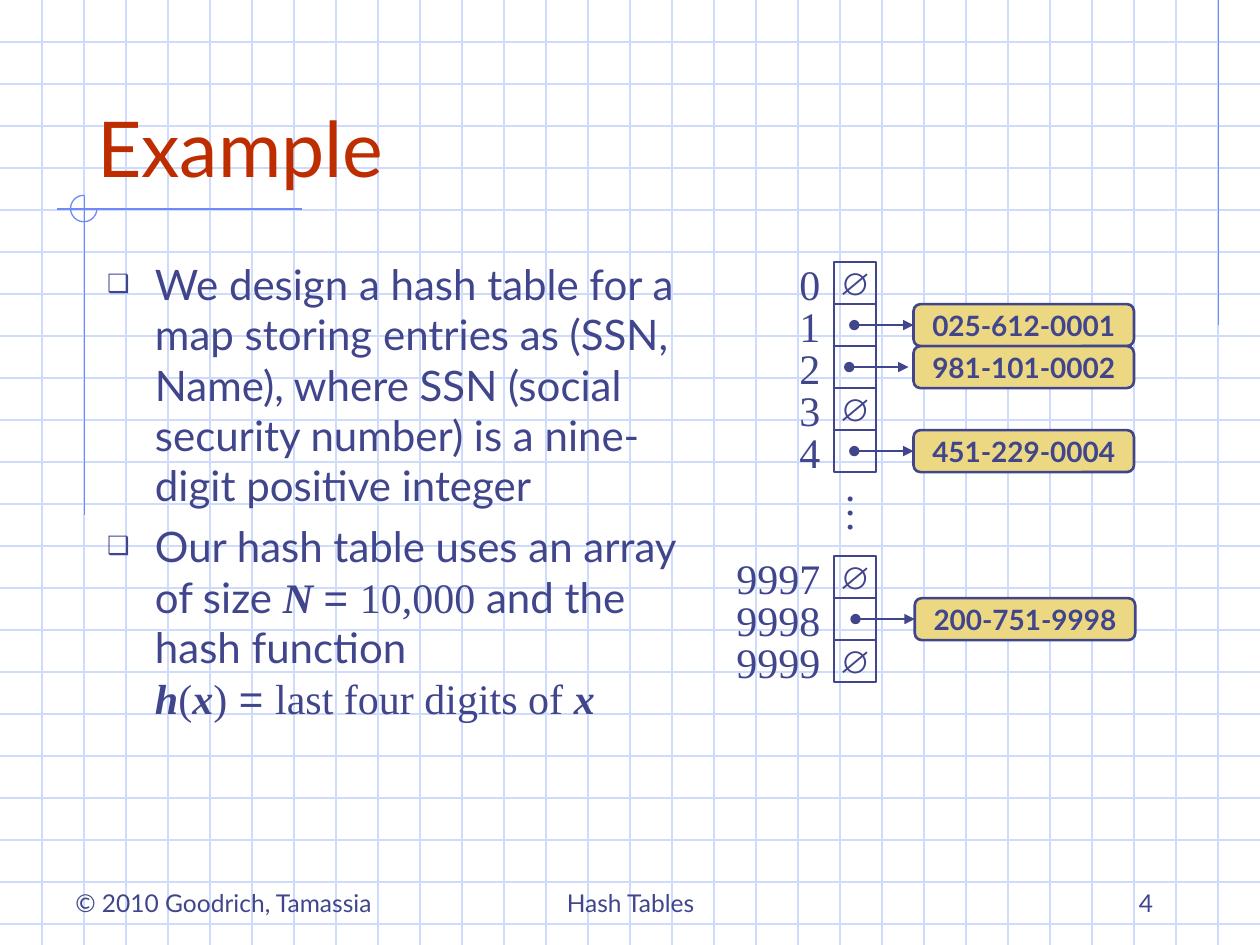
from lxml import etree
from pptx import Presentation
from pptx import util as u
from pptx.dml.color import RGBColor
from pptx.enum import shapes, text
from pptx.oxml.ns import qn

INK, RED, GRID, BLUE, GOLD = "40458C", "BE2D00", "CFDBFD", "6F89F7", "ECD882"
SANS, SERIF, SYMBOL = "Lato", "Times New Roman", "Arial"
LEFT, CENTER, RIGHT = text.PP_ALIGN.LEFT, text.PP_ALIGN.CENTER, text.PP_ALIGN.RIGHT
TOP, MIDDLE, BOTTOM = text.MSO_ANCHOR.TOP, text.MSO_ANCHOR.MIDDLE, text.MSO_ANCHOR.BOTTOM
CELL = 1 / 3

# Row position, index shown, key stored, shift of the arrow
ROWS = [
    (0, "0", None, 0),
    (1, "1", "025-612-0001", 0),
    (2, "2", "981-101-0002", -0.04),
    (3, "3", None, 0),
    (4, "4", "451-229-0004", 0),
    (7, "9997", None, 0),
    (8, "9998", "200-751-9998", 0.01),
    (9, "9999", None, 0),
]
BULLETS = [
    [("We design a hash table for a map storing entries as (SSN, Name), "
      "where SSN (social security number) is a nine-digit positive integer", SANS, False)],
    [("Our hash table uses an array of size ", SANS, False), ("N ", SERIF, True),
     ("= ", SYMBOL, False), ("10,000", SERIF, False), (" and the hash function", SANS, False),
     None,
     ("h", SERIF, True), ("(", SERIF, False), ("x", SERIF, True), (")", SERIF, False),
     (" = ", SYMBOL, False), ("last four digits of ", SERIF, False), ("x", SERIF, True)],
]


def rgb(value):
    return RGBColor.from_string(value)


def inches(*values):
    return [u.Inches(v) for v in values]


def add_run(p, words, size, font=SANS, color=INK, bold=False, italic=False):
    r = p.add_run()
    r.text = words
    r.font.size, r.font.name = u.Pt(size), font
    r.font.bold, r.font.italic = bold, italic
    r.font.color.rgb = rgb(color)


def set_frame(sp, anchor, align, wrap=True):
    """Prepare the text frame and return its first paragraph."""
    tf = sp.text_frame
    tf.auto_size = text.MSO_AUTO_SIZE.NONE
    tf.word_wrap, tf.vertical_anchor = wrap, anchor
    p = tf.paragraphs[0]
    p.alignment = align
    return p


def add_line(slide, x1, y1, x2, y2, color, width=0.75, arrow=False):
    line = slide.shapes.add_connector(shapes.MSO_CONNECTOR.STRAIGHT, *inches(x1, y1, x2, y2))
    line.line.color.rgb, line.line.width = rgb(color), u.Pt(width)
    if arrow:
        ln = line.line._get_or_add_ln()
        etree.SubElement(ln, qn("a:headEnd"), type="oval")
        etree.SubElement(ln, qn("a:tailEnd"), type="triangle")
    etree.SubElement(line._element.spPr, qn("a:effectLst"))


def add_shape(slide, kind, box, line, width, fill=None):
    sp = slide.shapes.add_shape(kind, *inches(*box))
    sp.shadow.inherit = False
    if fill:
        sp.fill.solid()
        sp.fill.fore_color.rgb = rgb(fill)
    else:
        sp.fill.background()
    sp.line.color.rgb, sp.line.width = rgb(line), u.Pt(width)
    return sp


def add_text(slide, box, words, size, font, align, anchor=TOP, wrap=False):
    sp = slide.shapes.add_textbox(*inches(*box))
    add_run(set_frame(sp, anchor, align, wrap), words, size, font)
    return sp


def add_backdrop(slide, width, height):
    """Graph paper with the blue corner lines and the crosshair."""
    for i in range(1, 23):
        add_line(slide, 0, i * CELL, width, i * CELL, GRID)
    for i in range(1, 30):
        add_line(slide, i * CELL, 0, i * CELL, height, GRID)
    add_line(slide, 9.67, 0, 9.67, 2.58, BLUE)
    add_line(slide, 2.4, 1.66, 0.45, 1.66, BLUE)
    add_line(slide, 0.67, 1.55, 0.67, 4.09, BLUE)
    arc = add_shape(slide, shapes.MSO_SHAPE.ARC, (0.56, 1.55, 0.21, 0.21), BLUE, 0.75)
    # Angles are in 60000ths of a degree, scaled by 100000: 0 to 270 degrees
    arc.adjustments[0], arc.adjustments[1] = 0, 162


def place(sp, box):
    """Move a placeholder to its box, in front of what is drawn so far."""
    sp.left, sp.top, sp.width, sp.height = inches(*box)
    tree = sp._element.getparent()
    tree.append(sp._element)


def fill_title(sp, box):
    place(sp, box)
    add_run(set_frame(sp, BOTTOM, LEFT), "Example", 44, color=RED)


def add_bullet(p):
    pPr = p._p.get_or_add_pPr()
    pPr.set("marL", str(u.Inches(0.38)))
    pPr.set("indent", str(u.Inches(-0.38)))
    color = etree.SubElement(pPr, qn("a:buClr"))
    etree.SubElement(color, qn("a:srgbClr"), val=INK)
    etree.SubElement(pPr, qn("a:buSzPct"), val="60000")
    etree.SubElement(pPr, qn("a:buChar"), char="❑")


def fill_body(sp, box):
    place(sp, box)
    p = set_frame(sp, TOP, LEFT)
    for i, runs in enumerate(BULLETS):
        if i:
            p = sp.text_frame.add_paragraph()
        add_bullet(p)
        p.space_before = u.Pt(6 if i else 0)
        for run in runs:
            if run is None:
                p.add_line_break()
                continue
            words, font, variable = run
            add_run(p, words, 24, font, bold=variable, italic=variable)


def add_hash_table(slide, left, top):
    """Array cells from the given corner, with indices left and entries right."""
    for row, index, key, shift in ROWS:
        y = top + row * CELL
        cell = add_shape(slide, shapes.MSO_SHAPE.RECTANGLE, (left, y, CELL, CELL), INK, 1.5)
        width = 0.2 + 0.165 * len(index)
        add_text(slide, (left - 0.01 - width, y - 0.08, width, 0.5), index, 24, SERIF, RIGHT)
        if key is None:
            add_run(set_frame(cell, MIDDLE, CENTER, False), "∅", 18, SYMBOL)
            continue
        entry = add_shape(slide, shapes.MSO_SHAPE.ROUNDED_RECTANGLE,
                          (left + 0.63 + max(shift, 0), y, 1.75, CELL), INK, 1.5, GOLD)
        add_run(set_frame(entry, MIDDLE, CENTER, False), key, 16, bold=True)
        middle = y + CELL / 2
        add_line(slide, left + 0.16 + shift, middle, left + 0.63 + shift, middle, INK, 1.5, True)
    dots = add_text(slide, (left - 0.02, top + 1.75, 0.53, 0.5), "…", 24, SERIF, CENTER)
    dots.rotation = 90


def add_footer(slide, top, height):
    for left, width, words, align in [
        (0.5, 2.67, "© 2010 Goodrich, Tamassia", LEFT),
        (3.42, 3.17, "Hash Tables", CENTER),
        (7.17, 2.08, "4", RIGHT),
    ]:
        add_text(slide, (left, top, width, height), words, 14, SANS, align, BOTTOM, True)


def main():
    prs = Presentation()
    prs.slide_width, prs.slide_height = inches(10, 7.5)
    slide = prs.slides.add_slide(prs.slide_layouts[1])
    title, body = slide.placeholders
    add_backdrop(slide, 10, 7.5)
    fill_title(title, (0.67, 0.33, 8.75, 1.25))
    fill_body(body, (0.75, 2, 4.75, 4.83))
    add_hash_table(slide, 6.62, 2.08)
    add_footer(slide, 6.83, 0.5)
    prs.save("out.pptx")


if __name__ == "__main__":
    main()
